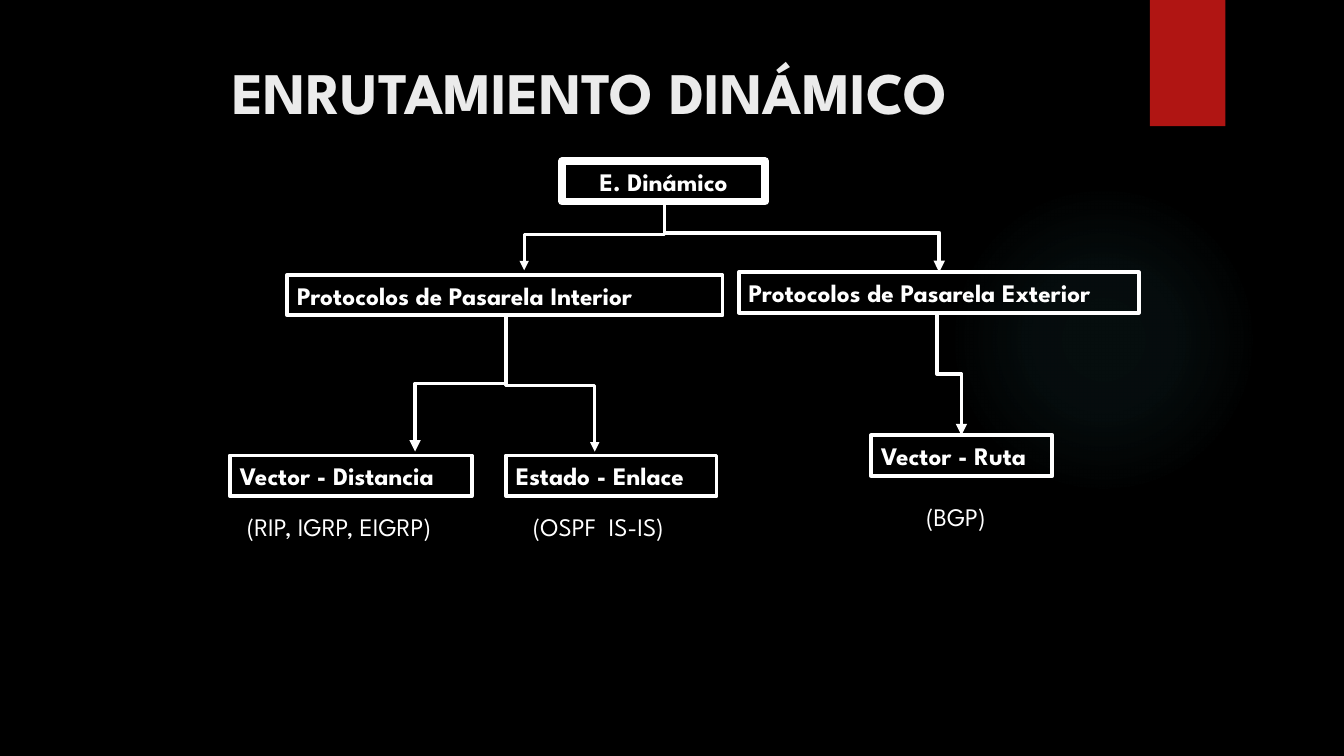
from lxml.etree import SubElement
from pptx import Presentation
from pptx.dml.color import RGBColor
from pptx.enum.shapes import MSO_CONNECTOR, MSO_SHAPE
from pptx.enum.text import MSO_ANCHOR, PP_ALIGN
from pptx.oxml import parse_xml
from pptx.oxml.ns import nsdecls, qn
from pptx.util import Cm, Pt

WHITE = "FFFFFF"
BOX_HEIGHT = 1.02
LABEL = {"name": "League Spartan", "size": Pt(18), "bold": True}
NOTE = {**LABEL, "bold": False}
HEADLINE = {**LABEL, "size": Pt(42)}

INTERIOR = {
    "heading": ("Protocolos de Pasarela Interior", 1.45, 10.97),
    "leaves": [("Vector - Distancia", 0, 4.55, 6.1),
               ("Estado - Enlace", 6.96, 4.55, 5.31)],
    "notes": [("(RIP, IGRP, EIGRP)", 0.18, 5.82, 5.89),
              ("(OSPF  IS-IS)", 7.39, 5.82, 4.06)],
    "arrows": [(6.96, 1.02, 4.67, 4.45, 2.75),
               (6.96, 1.12, 9.2, 4.45, 2.25)],
}
EXTERIOR = {
    "heading": ("Protocolos de Pasarela Exterior", 0, 10.08),
    "leaves": [("Vector - Ruta", 3.33, 4.11, 4.57)],
    "notes": [("(BGP)", 4.47, 5.64, 2.29)],
    "arrows": [(5, 1.02, 5.61, 4.11, 2.75)],
}


def color(value):
    """Turn a hex string into a colour."""
    return RGBColor.from_string(value)


def cms(*lengths):
    """Turn numbers into centimetre lengths."""
    return [Cm(length) for length in lengths]


def write(holder, text, style, ink=WHITE, align=PP_ALIGN.LEFT):
    """Put one formatted paragraph at the top of a holder."""
    frame = holder.text_frame
    frame.word_wrap = True
    frame.vertical_anchor = MSO_ANCHOR.TOP
    paragraph = frame.paragraphs[0]
    paragraph.text = text
    paragraph.alignment = align
    for attribute, value in style.items():
        setattr(paragraph.font, attribute, value)
    paragraph.font.color.rgb = color(ink)


def draw_box(slide, text, left, top, width, border=2.75, align=PP_ALIGN.LEFT):
    """Draw an outlined box with a bold label."""
    box = slide.shapes.add_shape(
        MSO_SHAPE.RECTANGLE, *cms(left, top, width, BOX_HEIGHT))
    box.shadow.inherit = False
    box.fill.background()
    box.line.color.rgb = color(WHITE)
    box.line.width = Pt(border)
    write(box, text, LABEL, align=align)


def draw_elbow(slide, x1, y1, x2, y2, weight):
    """Draw a horizontal-first elbow arrow between two points."""
    elbow = slide.shapes.add_connector(MSO_CONNECTOR.ELBOW, *cms(x1, y1, x2, y2))
    elbow.line.color.rgb = color(WHITE)
    elbow.line.width = Pt(weight)
    SubElement(elbow.line._get_or_add_ln(), qn("a:tailEnd"), type="triangle")
    properties = elbow._element.spPr
    SubElement(properties, qn("a:effectLst"))
    return properties


def draw_drop(slide, x1, y1, x2, y2, weight):
    """Draw a vertical-first elbow arrow by turning one a quarter."""
    side = 1 if x2 > x1 else -1
    middle_x, middle_y = (x1 + x2) / 2, (y1 + y2) / 2
    reach, rise = side * (y2 - y1) / 2, abs(x2 - x1) / 2
    properties = draw_elbow(slide, middle_x + reach, middle_y - rise,
                            middle_x - reach, middle_y + rise, weight)
    degrees = 270 if side > 0 else 90
    properties.find(qn("a:xfrm")).set("rot", str(degrees * 60000))


def draw_corner(slide, x1, y1, x2, y2, weight):
    """Draw an arrow with a single bend."""
    properties = draw_elbow(slide, x1, y1, x2, y2, weight)
    properties.find(qn("a:prstGeom")).set("prst", "bentConnector2")


def draw_backdrop(slide):
    """Paint the black background, the glow and the red tab."""
    slide.background.fill.solid()
    slide.background.fill.fore_color.rgb = color("000000")
    glow = slide.shapes.add_shape(MSO_SHAPE.OVAL, *cms(23.9, 4.65, 7.82, 7.82))
    tab = slide.shapes.add_shape(MSO_SHAPE.RECTANGLE, *cms(28.98, 0, 1.9, 3.18))
    for ornament in (glow, tab):
        ornament.shadow.inherit = False
        ornament.line.fill.background()
    tab.fill.solid()
    tab.fill.fore_color.rgb = color("B01513")
    stops = "".join(
        f'<a:gs pos="{place * 1000}"><a:srgbClr val="50B9C1">'
        f'<a:alpha val="{alpha * 1000}"/></a:srgbClr></a:gs>'
        for place, alpha in ((0, 7), (36, 6), (69, 0), (100, 0)))
    glow._element.spPr.insert(2, parse_xml(
        f'<a:gradFill {nsdecls("a")}><a:gsLst>{stops}</a:gsLst>'
        '<a:path path="circle"><a:fillToRect l="50000" t="50000" '
        'r="50000" b="50000"/></a:path></a:gradFill>'))


def draw_title(slide, left, top, width, height):
    """Place and format the title."""
    title = slide.shapes.title
    title.left, title.top, title.width, title.height = cms(left, top, width, height)
    write(title, "ENRUTAMIENTO DINÁMICO", HEADLINE, "EBEBEB", PP_ALIGN.CENTER)


def draw_root(slide, left, top, width):
    """Draw the root box and its two branches."""
    draw_box(slide, "E. Dinámico", left, top, width, 5.5, PP_ALIGN.CENTER)
    stem = left + 2.57
    draw_drop(slide, stem, top + 0.97, stem - 3.53, top + 2.75, 2.25)
    draw_corner(slide, stem, top + 1.81, stem + 6.93, top + 2.8, 2.75)


def draw_family(slide, family, left, top):
    """Draw a protocol family with its leaves, notes and arrows."""
    heading, indent, width = family["heading"]
    draw_box(slide, heading, left + indent, top, width)
    for text, x, y, width in family["leaves"]:
        draw_box(slide, text, left + x, top + y, width)
    for text, x, y, width in family["notes"]:
        note = slide.shapes.add_textbox(
            *cms(left + x, top + y, width, BOX_HEIGHT))
        write(note, text, NOTE)
    for x1, y1, x2, y2, weight in family["arrows"]:
        draw_drop(slide, left + x1, top + y1, left + x2, top + y2, weight)


def main():
    """Build and save the slide."""
    deck = Presentation()
    deck.slide_width, deck.slide_height = cms(33.87, 19.05)
    slide = deck.slides.add_slide(deck.slide_layouts.get_by_name("Title Only"))
    draw_backdrop(slide)
    draw_title(slide, 1.8, 1.27, 26.14, 3.89)
    draw_root(slide, 14.17, 4.06, 5.11)
    draw_family(slide, INTERIOR, 5.79, 6.93)
    draw_family(slide, EXTERIOR, 18.62, 6.86)
    deck.save("out.pptx")


if __name__ == "__main__":
    main()
